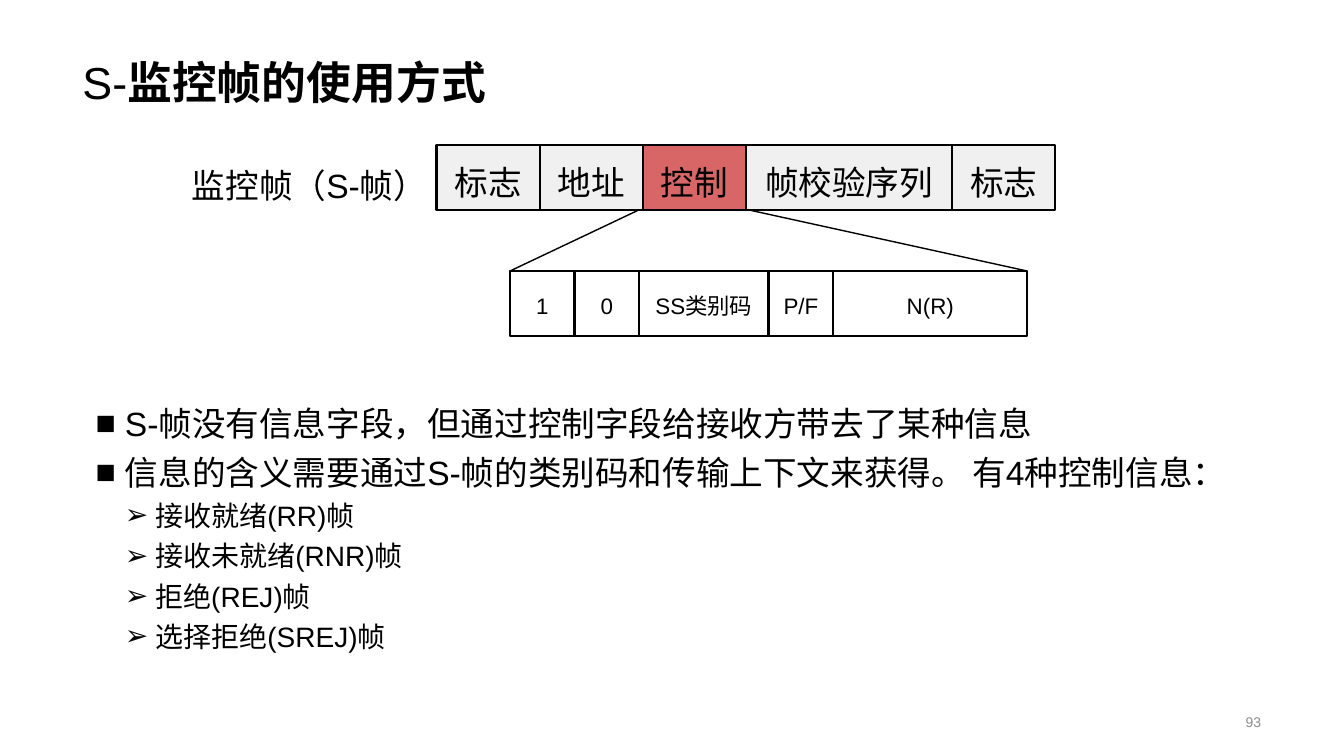
from dataclasses import dataclass

from lxml import etree
from pptx import Presentation
from pptx.dml.color import RGBColor
from pptx.enum.shapes import MSO_CONNECTOR, MSO_SHAPE
from pptx.enum.text import MSO_ANCHOR, PP_ALIGN
from pptx.oxml.ns import qn
from pptx.util import Cm, Pt

RECTANGLE = MSO_SHAPE.RECTANGLE
STRAIGHT = MSO_CONNECTOR.STRAIGHT
TOP, MIDDLE, BOTTOM = MSO_ANCHOR.TOP, MSO_ANCHOR.MIDDLE, MSO_ANCHOR.BOTTOM
LEFT, CENTER, RIGHT = PP_ALIGN.LEFT, PP_ALIGN.CENTER, PP_ALIGN.RIGHT

FONT = "Arial"
COLORS = {"black": "000000", "gray": "F0F0F0", "red": "C00000", "number": "8C8C8C"}


@dataclass
class Field:
    text: str
    units: int = 1
    fill: str | None = None
    opacity: int = 100


@dataclass
class FieldRow:
    left: float
    top: float
    unit: float
    height: float
    size: int
    fields: list[Field]

    @property
    def right(self) -> float:
        return self.left + self.unit * sum(field.units for field in self.fields)

    @property
    def bottom(self) -> float:
        return self.top + self.height


@dataclass
class Bullet:
    text: str
    level: int = 0


@dataclass
class BulletStyle:
    symbol: str
    size: int
    margin: float
    hanging: float


FRAME = FieldRow(11, 3.66, 2.6, 1.63, 24, [
    Field("标志", fill="gray"),
    Field("地址", fill="gray"),
    Field("控制", fill="red", opacity=60),
    Field("帧校验序列", units=2, fill="gray"),
    Field("标志", fill="gray"),
])
CONTROL = FieldRow(12.85, 6.83, 1.63, 1.63, 16, [
    Field("1"),
    Field("0"),
    Field("SS类别码", units=2),
    Field("P/F"),
    Field("N(R)", units=3),
])
BULLET_STYLES = [BulletStyle("■", 24, 0.74, 0.74), BulletStyle("➢", 20, 1.5, 0.76)]
BULLETS = [
    Bullet("S-帧没有信息字段，但通过控制字段给接收方带去了某种信息"),
    Bullet("信息的含义需要通过S-帧的类别码和传输上下文来获得。 有4种控制信息："),
    Bullet("接收就绪(RR)帧", 1),
    Bullet("接收未就绪(RNR)帧", 1),
    Bullet("拒绝(REJ)帧", 1),
    Bullet("选择拒绝(SREJ)帧", 1),
]


def rgb(name: str) -> RGBColor:
    return RGBColor.from_string(COLORS[name])


def write(paragraph, text: str, *, size: int, color: str = "black", bold: bool = False,
          align=LEFT, spacing: float = 1.0) -> None:
    paragraph.alignment = align
    paragraph.line_spacing = spacing
    run = paragraph.add_run()
    run.text = text
    run.font.name = FONT
    run.font.size = Pt(size)
    run.font.bold = bold
    run.font.color.rgb = rgb(color)


def add_text_frame(slide, left: float, top: float, width: float, height: float, anchor=TOP):
    box = slide.shapes.add_textbox(Cm(left), Cm(top), Cm(width), Cm(height))
    box.text_frame.word_wrap = True
    box.text_frame.vertical_anchor = anchor
    return box.text_frame


def add_field_row(slide, row: FieldRow) -> None:
    left = row.left
    for field in row.fields:
        width = row.unit * field.units
        shape = slide.shapes.add_shape(
            RECTANGLE, Cm(left), Cm(row.top), Cm(width), Cm(row.height))
        shape.shadow.inherit = False
        if field.fill is None:
            shape.fill.background()
        else:
            shape.fill.solid()
            shape.fill.fore_color.rgb = rgb(field.fill)
        if field.opacity < 100:
            color = shape.fill._xPr.find(f"{qn('a:solidFill')}/{qn('a:srgbClr')}")
            etree.SubElement(color, qn("a:alpha"), val=str(field.opacity * 1000))
        shape.line.color.rgb = rgb("black")
        shape.line.width = Pt(1.5)
        shape.text_frame.word_wrap = True
        shape.text_frame.vertical_anchor = MIDDLE
        write(shape.text_frame.paragraphs[0], field.text,
              size=row.size, align=CENTER, spacing=1.2)
        left += width


def add_line(slide, start: tuple[float, float], end: tuple[float, float]) -> None:
    line = slide.shapes.add_connector(
        STRAIGHT, Cm(start[0]), Cm(start[1]), Cm(end[0]), Cm(end[1]))
    line.line.color.rgb = rgb("black")
    line.line.width = Pt(1)
    etree.SubElement(line._element.spPr, qn("a:effectLst"))


def add_bullets(text_frame, bullets: list[Bullet]) -> None:
    for index, bullet in enumerate(bullets):
        paragraph = text_frame.add_paragraph() if index else text_frame.paragraphs[0]
        paragraph.level = bullet.level
        style = BULLET_STYLES[bullet.level]
        write(paragraph, bullet.text, size=style.size, spacing=1.2)
        properties = paragraph._p.get_or_add_pPr()
        properties.set("marL", str(Cm(style.margin)))
        properties.set("indent", str(-Cm(style.hanging)))
        etree.SubElement(properties, qn("a:buFont"), typeface=FONT)
        etree.SubElement(properties, qn("a:buChar"), char=style.symbol)


def main() -> None:
    presentation = Presentation()
    presentation.slide_width = Cm(33.87)
    presentation.slide_height = Cm(19.05)
    slide = presentation.slides.add_slide(presentation.slide_layouts[6])

    # Title
    title = add_text_frame(slide, 1.83, 0.36, 30.18, 2.49, BOTTOM).paragraphs[0]
    write(title, "S-", size=32)
    write(title, "监控帧的使用方式", size=32, bold=True)

    # Explanation
    add_bullets(add_text_frame(slide, 2.16, 9.83, 30.18, 6.7), BULLETS)

    # Page number
    number = add_text_frame(slide, 29.8, 17.8, 2.23, 0.76, MIDDLE)
    write(number.paragraphs[0], "93", size=10, color="number", align=RIGHT)

    # Frame layout and its enlarged control field
    label = add_text_frame(slide, 4.55, 3.84, 6.5, 1.37)
    write(label.paragraphs[0], "监控帧（S-帧）", size=24, align=CENTER, spacing=1.2)
    add_field_row(slide, CONTROL)
    add_line(slide, (16.1, FRAME.bottom), (CONTROL.left, CONTROL.top))
    add_line(slide, (18.87, FRAME.bottom), (CONTROL.right, CONTROL.top))
    add_field_row(slide, FRAME)

    presentation.save("out.pptx")


if __name__ == "__main__":
    main()
